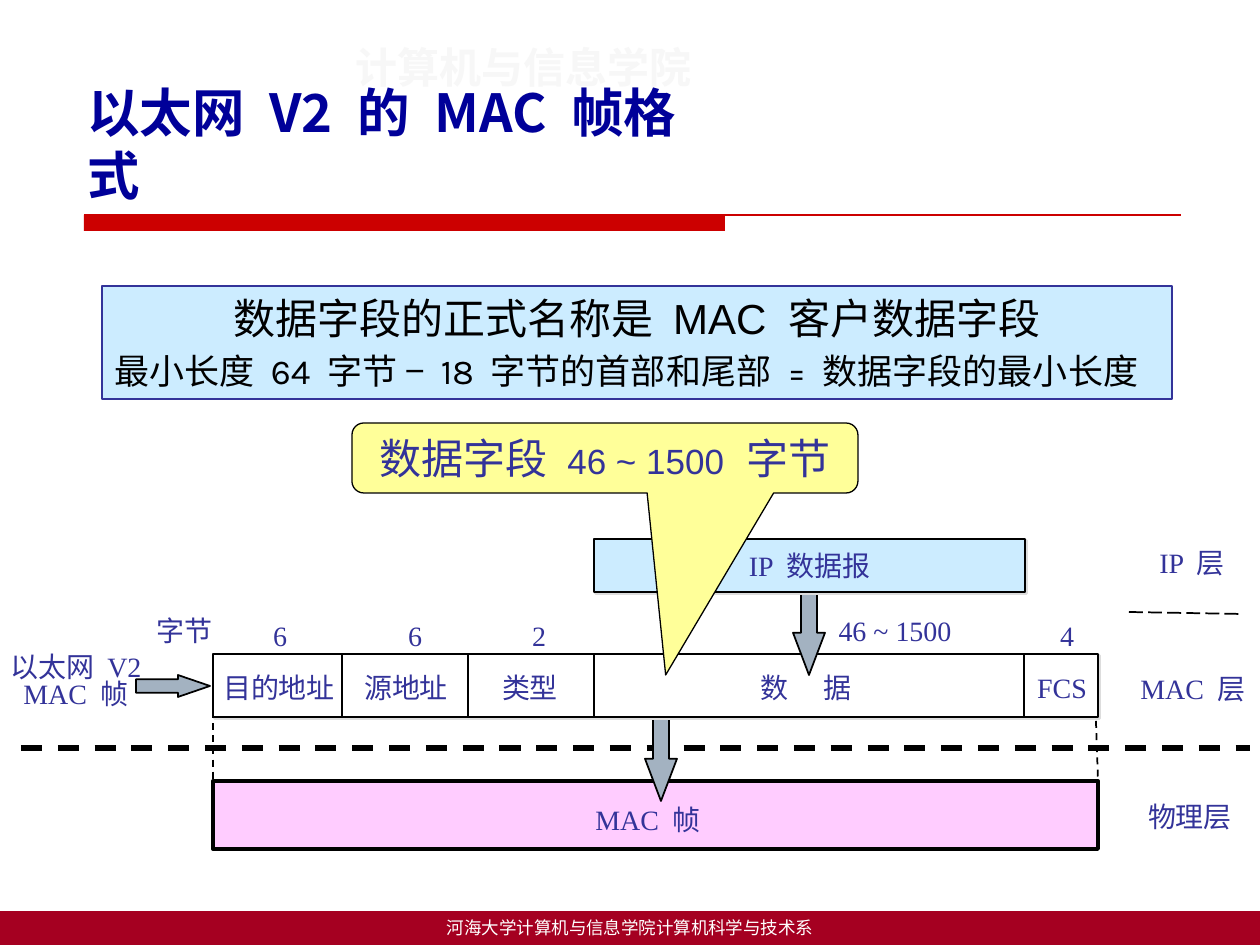
from lxml import etree
from pptx import Presentation
from pptx.dml.color import RGBColor
from pptx.enum.dml import MSO_LINE
from pptx.enum.shapes import MSO_CONNECTOR, MSO_SHAPE
from pptx.enum.text import MSO_ANCHOR, PP_ALIGN
from pptx.oxml.ns import qn
from pptx.util import Pt

SCALE = 914400 / 126
COLORS = {
    "black": "000000", "white": "FFFFFF", "red": "CC0000", "maroon": "A50021",
    "pale": "F7F7F7", "navy": "000099", "indigo": "333399", "sky": "CCECFF",
    "pink": "FFCCFF", "yellow": "FFFF99", "steel": "A3B2C1", "shade": "DDDDDD",
}
LABEL_WIDTH = 134
FRAME_LEFT, FRAME_TOP, FRAME_WIDTH, FRAME_HEIGHT = 213, 654, 885, 63
DIVIDERS = (342, 468, 594, 1024)
FIELDS = (("目的地址", 279), ("源地址", 406), ("类型", 530), ("FCS", 1062))
SIZES = (("6", 280), ("6", 415), ("2", 539), ("4", 1067))


def px(value):
    return round(value * SCALE)


def color(name):
    return RGBColor.from_string(COLORS[name])


def style_font(font, size, name, ink, bold=False):
    font.size, font.name, font.bold = Pt(size), name, bold
    font.color.rgb = color(ink)


def add_box(slide, kind, left, top, width, height, fill, line=None, weight=1,
            adjustments=()):
    shape = slide.shapes.add_shape(kind, px(left), px(top), px(width), px(height))
    shape.shadow.inherit = False
    shape.fill.solid()
    shape.fill.fore_color.rgb = color(fill)
    if line:
        shape.line.color.rgb = color(line)
        shape.line.width = Pt(weight)
    else:
        shape.line.fill.background()
    for index, value in enumerate(adjustments):
        shape.adjustments[index] = value
    return shape


def add_soft_shadow(shape):
    effects = shape._element.spPr.find(qn("a:effectLst"))
    shadow = etree.SubElement(effects, qn("a:outerShdw"), dist="17780", dir="2700000")
    etree.SubElement(shadow, qn("a:srgbClr"), val=COLORS["shade"])


def add_line(slide, x1, y1, x2, y2, ink="black", weight=1, dash=None):
    line = slide.shapes.add_connector(
        MSO_CONNECTOR.STRAIGHT, px(x1), px(y1), px(x2), px(y2))
    etree.SubElement(line._element.spPr, qn("a:effectLst"))
    line.line.color.rgb = color(ink)
    line.line.width = Pt(weight)
    if dash:
        line.line.dash_style = dash


def write(shape, text, size, font="Times New Roman", ink="indigo",
          align=PP_ALIGN.CENTER, bold=False, wrap=True, spacing=None,
          anchor=MSO_ANCHOR.TOP):
    frame = shape.text_frame
    frame.word_wrap = wrap
    frame.vertical_anchor = anchor
    frame.text = text
    for paragraph in frame.paragraphs:
        paragraph.alignment = align
        paragraph.line_spacing = spacing
        style_font(paragraph.font, size, font, ink, bold)


def write_runs(paragraph, runs, ink, align=PP_ALIGN.CENTER):
    paragraph.alignment = align
    for text, size, font in runs:
        run = paragraph.add_run()
        run.text = text
        style_font(run.font, size, font, ink)


def add_text(slide, left, top, width, height, text, size, **options):
    box = slide.shapes.add_textbox(px(left), px(top), px(width), px(height))
    write(box, text, size, **options)
    return box


def remove_side_margins(box):
    box.text_frame.margin_left = box.text_frame.margin_right = 0


def add_label(slide, text, center, top, **options):
    label = add_text(slide, center - LABEL_WIDTH // 2, top, LABEL_WIDTH, 45, text, 16,
                     wrap=False, **options)
    remove_side_margins(label)


def add_down_arrow(slide, left, top):
    add_box(slide, MSO_SHAPE.DOWN_ARROW, left, top, 32, 84, "steel", "black",
            adjustments=(0.5, 1.32))


def add_header_and_footer(slide):
    add_box(slide, MSO_SHAPE.RECTANGLE, 84, 215, 641, 16, "red")
    add_line(slide, 84, 215, 1181, 215, "red", 0.75)
    footer = add_box(slide, MSO_SHAPE.RECTANGLE, 0, 911, 1260, 34, "maroon")
    write(footer, "河海大学计算机与信息学院计算机科学与技术系", 10, ink="white")
    add_text(slide, 343, 35, 387, 63, "计算机与信息学院", 24, font="DejaVu Sans",
             ink="pale", align=PP_ALIGN.LEFT, bold=True)
    add_text(slide, 75, 106, 636, 106, "以太网 V2 的 MAC 帧格式", 30,
             font="Noto Sans CJK SC", ink="navy", align=PP_ALIGN.LEFT, bold=True,
             anchor=MSO_ANCHOR.BOTTOM)


def add_physical_layer(slide):
    add_line(slide, 21, 748, 1250, 748, weight=3, dash=MSO_LINE.DASH)
    add_box(slide, MSO_SHAPE.RECTANGLE, FRAME_LEFT, 781, FRAME_WIDTH, 68,
            "pink", "black", 2.25)
    add_label(slide, "MAC 帧", 648, 796)
    add_line(slide, 213, 711, 213, 782, dash=MSO_LINE.DASH)
    add_line(slide, 1096, 721, 1098, 780, dash=MSO_LINE.DASH)
    add_down_arrow(slide, 645, 717)


def add_layer_names(slide):
    for text, center, top in (("IP 层", 1192, 539), ("MAC 层", 1193, 665),
                              ("物理层", 1190, 793)):
        add_label(slide, text, center, top)
    add_line(slide, 1129, 612, 1242, 614, dash=MSO_LINE.LONG_DASH)


def add_mac_frame(slide):
    add_label(slide, "以太网 V2\nMAC 帧", 76, 650, spacing=0.8)
    add_box(slide, MSO_SHAPE.RIGHT_ARROW, 136, 675, 74, 22, "steel", "black",
            adjustments=(0.61, 1.46))
    frame = add_box(slide, MSO_SHAPE.RECTANGLE, FRAME_LEFT, FRAME_TOP, FRAME_WIDTH,
                    FRAME_HEIGHT, "white", "black", 1.5)
    add_soft_shadow(frame)
    for x in DIVIDERS:
        add_line(slide, x, FRAME_TOP, x, FRAME_TOP + FRAME_HEIGHT)
    for text, center in FIELDS:
        add_label(slide, text, center, 664)
    for text, center in SIZES:
        add_label(slide, text, center, 612)
    add_label(slide, "字节", 184, 607)
    add_label(slide, "46 ~ 1500", 895, 607)
    data = slide.shapes.add_textbox(px(761), px(664), px(150), px(45))
    remove_side_margins(data)
    properties = data.text_frame.paragraphs[0]._p.get_or_add_pPr()
    tabs = etree.SubElement(properties, qn("a:tabLst"))
    etree.SubElement(tabs, qn("a:tab"), pos=str(px(78)), algn="l")
    write(data, "数\t据", 16, align=PP_ALIGN.LEFT)


def add_ip_datagram(slide):
    add_down_arrow(slide, 793, 591)
    datagram = add_box(slide, MSO_SHAPE.RECTANGLE, 594, 539, 431, 53,
                       "sky", "black", 1.5)
    add_soft_shadow(datagram)
    write(datagram, "IP 数据报", 16, wrap=False, anchor=MSO_ANCHOR.MIDDLE)


def add_notes_on_data_field(slide):
    callout = add_box(slide, MSO_SHAPE.ROUNDED_RECTANGULAR_CALLOUT, 352, 423, 506, 70,
                      "yellow", "black", 0.75, (0.12, 3.1, 0.17))
    callout.text_frame.vertical_anchor = MSO_ANCHOR.TOP
    write_runs(callout.text_frame.paragraphs[0], (
        ("数据字段 ", 24, "Arial"), ("46 ~ 1500", 20, "Arial"),
        (" 字节", 24, "Arial")), "indigo")
    banner = add_box(slide, MSO_SHAPE.RECTANGLE, 102, 286, 1070, 113,
                     "sky", "indigo", 0.75)
    frame = banner.text_frame
    frame.vertical_anchor = MSO_ANCHOR.TOP
    write_runs(frame.paragraphs[0], (
        ("数据字段的正式名称是 ", 24, "Karla"), ("MAC ", 24, "Arial"),
        ("客户数据字段", 24, "Karla")), "black")
    write_runs(frame.add_paragraph(), (
        ("最小长度 64 字节 ", 20, "Karla"), ("− ", 20, "Arial"),
        ("18 字节的首部和尾部 = 数据字段的最小长度", 20, "Karla"),
        (" ", 24, "Karla")), "black", PP_ALIGN.LEFT)


def main():
    presentation = Presentation()
    presentation.slide_width, presentation.slide_height = px(1260), px(945)
    slide = presentation.slides.add_slide(presentation.slide_layouts[6])
    add_header_and_footer(slide)
    add_physical_layer(slide)
    add_layer_names(slide)
    add_mac_frame(slide)
    add_ip_datagram(slide)
    add_notes_on_data_field(slide)
    presentation.save("out.pptx")


if __name__ == "__main__":
    main()
